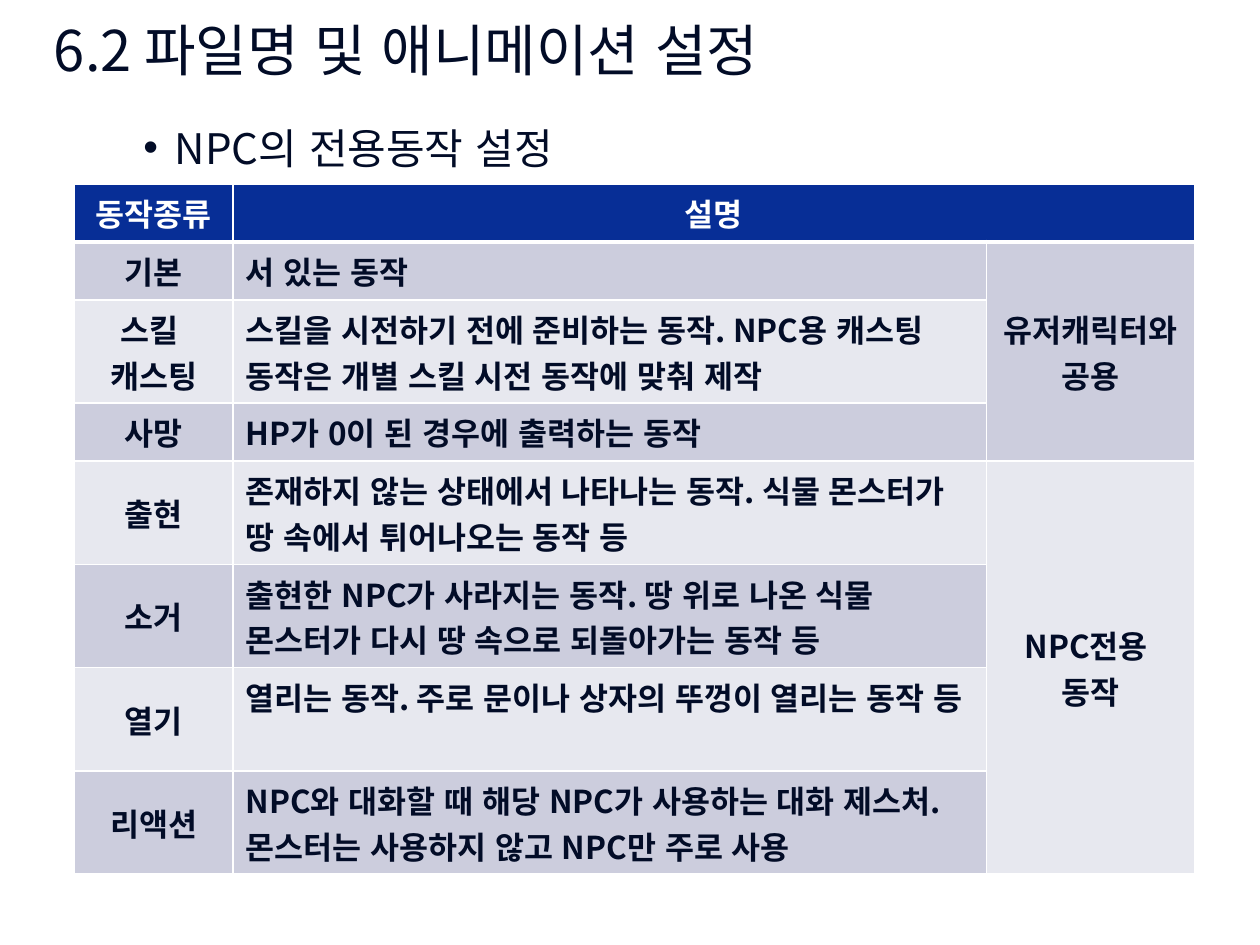
from dataclasses import dataclass

from lxml import etree
from pptx import Presentation
from pptx import util as u
from pptx.dml.color import RGBColor
from pptx.enum import lang, text
from pptx.oxml.ns import qn


@dataclass(frozen=True)
class Theme:
    font: str = "Noto Sans CJK KR"
    ink: str = "020C27"
    white: str = "FFFFFF"
    header: str = "072E96"
    bands: tuple = ("CCCDDD", "E7E8EF")
    title_size: int = 32
    body_size: int = 24
    table_size: int = 18


CENTER = text.PP_ALIGN.CENTER
LEFT = text.PP_ALIGN.LEFT
MIDDLE = text.MSO_ANCHOR.MIDDLE
TOP = text.MSO_ANCHOR.TOP

COLUMN_WIDTHS = (1.26, 5.98, 1.65)
ONE_LINE, TWO_LINES = 0.46, 0.82

# Motion name, description, row height
MOTIONS = [
    ("기본", "서 있는 동작", ONE_LINE),
    ("스킬 \n캐스팅", "스킬을 시전하기 전에 준비하는 동작. NPC용 캐스팅 동작은 "
     "개별 스킬 시전 동작에 맞춰 제작", TWO_LINES),
    ("사망", "HP가 0이 된 경우에 출력하는 동작", ONE_LINE),
    ("출현", "존재하지 않는 상태에서 나타나는 동작. 식물 몬스터가 땅 속에서 "
     "튀어나오는 동작 등", TWO_LINES),
    ("소거", "출현한 NPC가 사라지는 동작. 땅 위로 나온 식물 몬스터가 다시 "
     "땅 속으로 되돌아가는 동작 등", TWO_LINES),
    ("열기", "열리는 동작. 주로 문이나 상자의 뚜껑이 열리는 동작 등", TWO_LINES),
    ("리액션", "NPC와 대화할 때 해당 NPC가 사용하는 대화 제스처. 몬스터는 "
     "사용하지 않고 NPC만 주로 사용", TWO_LINES),
]

# First row, last row, label
GROUPS = [(1, 3, "유저캐릭터와 공용"), (4, 7, "NPC전용 \n동작")]


class PageBuilder:
    def __init__(self, page, theme):
        self.page = page
        self.theme = theme

    def span(self, para, words, size, color, bold=False):
        span = para.add_run()
        span.text = words
        font = span.font
        font.name = self.theme.font
        font.size = u.Pt(size)
        font.bold = bold
        font.language_id = lang.MSO_LANGUAGE_ID.KOREAN
        font.color.rgb = RGBColor.from_string(color)
        font._element.set("kern", "0")
        east_asian = etree.SubElement(font._element, qn("a:ea"))
        east_asian.set("typeface", self.theme.font)

    def text_box(self, left, top, width, height, words, size, anchor):
        box = self.page.shapes.add_textbox(*map(u.Inches, (left, top, width, height)))
        frame = box.text_frame
        frame.word_wrap = True
        frame.vertical_anchor = anchor
        para = frame.paragraphs[0]
        self.span(para, words, size, self.theme.ink)
        return para

    def bullet(self, para, margin, indent):
        para.alignment = text.PP_ALIGN.JUSTIFY
        properties = para._p.get_or_add_pPr()
        properties.set("marL", str(u.Inches(margin)))
        properties.set("indent", str(u.Inches(indent)))
        before = etree.SubElement(properties, qn("a:spcBef"))
        etree.SubElement(before, qn("a:spcPct")).set("val", "20000")
        etree.SubElement(properties, qn("a:buFont")).set("typeface", "Arial")
        etree.SubElement(properties, qn("a:buChar")).set("char", "•")

    def table(self, left, top, widths, heights):
        box = self.page.shapes.add_table(
            len(heights), len(widths),
            *map(u.Inches, (left, top, sum(widths), sum(heights))))
        table = box.table
        for column, width in zip(table.columns, widths):
            column.width = u.Inches(width)
        for row, height in zip(table.rows, heights):
            row.height = u.Inches(height)
        return table

    def cell_style(self, cell, fill, bottom=1, top=1):
        properties = cell._tc.get_or_add_tcPr()
        for side, points in (("L", 1), ("R", 1), ("T", top), ("B", bottom)):
            line = etree.SubElement(properties, qn(f"a:ln{side}"), w=str(u.Pt(points)))
            solid = etree.SubElement(line, qn("a:solidFill"))
            etree.SubElement(solid, qn("a:srgbClr"), val=self.theme.white)
        cell.fill.solid()
        cell.fill.fore_color.rgb = RGBColor.from_string(fill)

    def cell_text(self, cell, words, color, align=CENTER, anchor=MIDDLE):
        cell.vertical_anchor = anchor
        frame = cell.text_frame
        for index, line in enumerate(words.split("\n")):
            para = frame.add_paragraph() if index else frame.paragraphs[0]
            para.alignment = align
            self.span(para, line, self.theme.table_size, color, bold=True)


def add_motion_table(builder):
    theme = builder.theme
    heights = [ONE_LINE] + [height for _, _, height in MOTIONS]
    table = builder.table(0.59, 1.46, COLUMN_WIDTHS, heights)

    for cell in table.rows[0].cells:
        builder.cell_style(cell, theme.header, bottom=3)
    table.cell(0, 1).merge(table.cell(0, 2))
    builder.cell_text(table.cell(0, 0), "동작종류", theme.white)
    builder.cell_text(table.cell(0, 1), "설명", theme.white, anchor=TOP)

    for row, (name, description, _) in enumerate(MOTIONS, start=1):
        for cell in table.rows[row].cells:
            builder.cell_style(cell, theme.bands[(row - 1) % 2], top=3 if row == 1 else 1)
        builder.cell_text(table.cell(row, 0), name, theme.ink)
        builder.cell_text(table.cell(row, 1), description, theme.ink, LEFT, TOP)

    for first, last, label in GROUPS:
        table.cell(first, 2).merge(table.cell(last, 2))
        builder.cell_text(table.cell(first, 2), label, theme.ink)


def main():
    deck = Presentation()
    deck.slide_width, deck.slide_height = u.Inches(10), u.Inches(7.5)
    theme = Theme()
    builder = PageBuilder(deck.slides.add_slide(deck.slide_layouts[6]), theme)

    builder.text_box(0.33, 0, 9, 0.78, "6.2 파일명 및 애니메이션 설정",
                     theme.title_size, MIDDLE)
    heading = builder.text_box(0.5, 0.92, 9, 5.98, "NPC의 전용동작 설정",
                               theme.body_size, TOP)
    builder.bullet(heading, 0.79, -0.25)
    add_motion_table(builder)
    deck.save("out.pptx")


if __name__ == "__main__":
    main()
